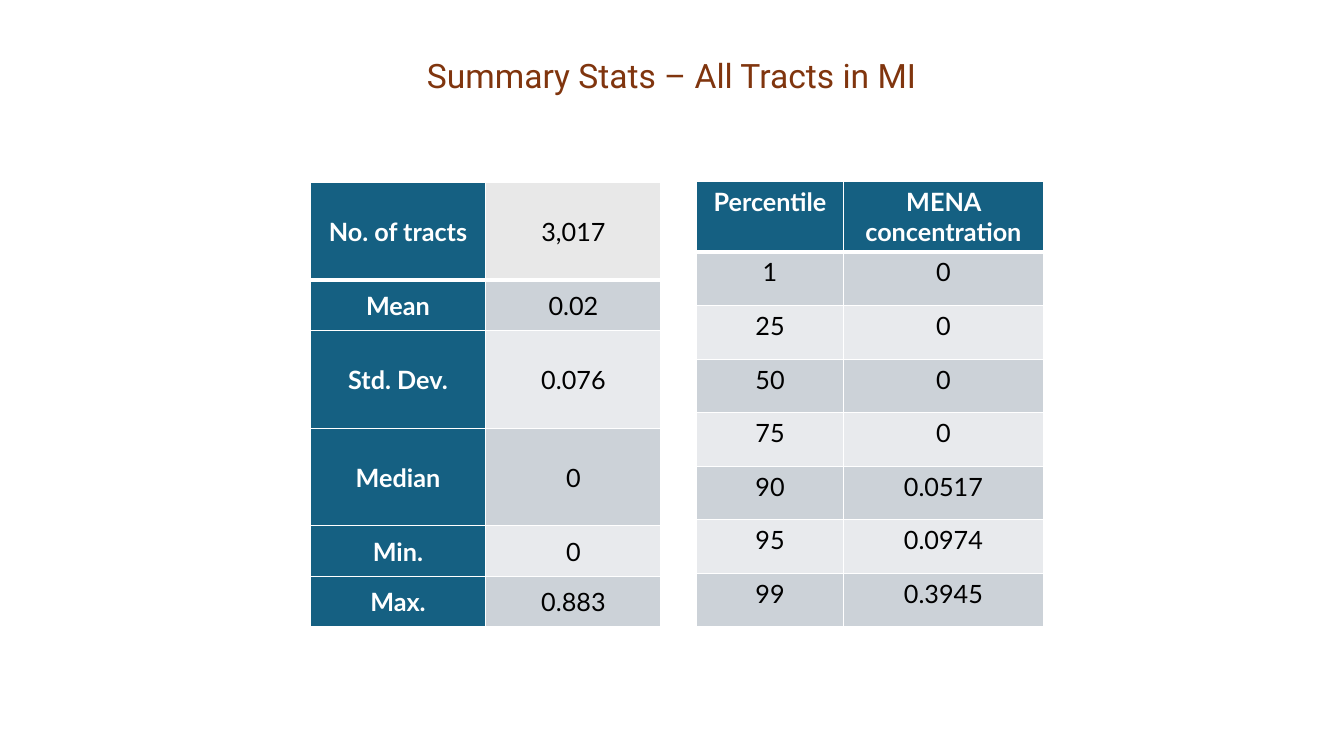
from lxml import etree
from pptx import Presentation
from pptx.dml.color import RGBColor
from pptx.enum import text
from pptx.oxml import ns
from pptx.util import Cm, Pt

RUST = RGBColor(0x80, 0x35, 0x0E)
TEAL = RGBColor(0x15, 0x60, 0x82)
WHITE = RGBColor(0xFF, 0xFF, 0xFF)
BLACK = RGBColor(0x00, 0x00, 0x00)
GREY = RGBColor(0xE8, 0xE8, 0xE8)
BAND_DARK = RGBColor(0xCC, 0xD2, 0xD8)
BAND_LIGHT = RGBColor(0xE8, 0xEA, 0xED)

SUMMARY = [("No. of tracts", "3,017"), ("Mean", "0.02"), ("Std. Dev.", "0.076"),
           ("Median", "0"), ("Min.", "0"), ("Max.", "0.883")]
PERCENTILES = [("Percentile", "MENA concentration"), ("1", "0"), ("25", "0"),
               ("50", "0"), ("75", "0"), ("90", "0.0517"), ("95", "0.0974"),
               ("99", "0.3945")]


def add_run(p, wording, font, size, color, bold=False):
    p.alignment = text.PP_ALIGN.CENTER
    r = p.add_run()
    r.text = wording
    r.font.name, r.font.size, r.font.bold = font, Pt(size), bold
    r.font.color.rgb = color


def add_border(cell, side, width):
    """Draw a white border, width in points, on side L, R, T or B."""
    ln = etree.SubElement(cell._tc.get_or_add_tcPr(), ns.qn("a:ln" + side),
                          w=str(Pt(width)))
    fill = etree.SubElement(ln, ns.qn("a:solidFill"))
    etree.SubElement(fill, ns.qn("a:srgbClr"), val=str(WHITE))


prs = Presentation()
prs.slide_width, prs.slide_height = Cm(33.87), Cm(19.05)
s = prs.slides.add_slide(prs.slide_layouts[6])

title = s.shapes.add_textbox(Cm(4.06), Cm(1.27), Cm(25.73), Cm(1.27))
tf = title.text_frame
tf.word_wrap = True
add_run(tf.paragraphs[0], "Summary Stats – All Tracts in MI", "Roboto", 24, RUST)

# rows, left, top, column widths, row heights, whether labels run down the side
tables = [
    (PERCENTILES, 17.55, 4.57, [3.71, 5.03], [1.75] + [1.35] * 7, False),
    (SUMMARY, 7.82, 4.6, [4.42, 4.42], [2.46, 1.27, 2.46, 2.46, 1.27, 1.27], True),
]
for rows, left, top, widths, heights, side_labels in tables:
    table = s.shapes.add_table(len(rows), 2, Cm(left), Cm(top),
                               Cm(sum(widths)), Cm(sum(heights))).table
    for column, width in zip(table.columns, widths):
        column.width = Cm(width)
    for i, (row, height) in enumerate(zip(rows, heights)):
        table.rows[i].height = Cm(height)
        for j, wording in enumerate(row):
            cell = table.cell(i, j)
            add_border(cell, "L", 1)
            add_border(cell, "R", 1)
            add_border(cell, "T", 3 if i == 1 else 1)
            add_border(cell, "B", 3 if i == 0 else 1)
            is_label = j == 0 if side_labels else i == 0
            band = BAND_DARK if i % 2 else BAND_LIGHT if i else GREY
            cell.fill.solid()
            cell.fill.fore_color.rgb = TEAL if is_label else band
            if side_labels:
                cell.vertical_anchor = text.MSO_ANCHOR.MIDDLE
                cell.margin_left = cell.margin_right = cell.margin_top = Cm(0.03)
                cell.margin_bottom = Cm(0)
            add_run(cell.text_frame.paragraphs[0], wording, "Lato", 18,
                    WHITE if is_label else BLACK, is_label)

prs.save("out.pptx")
